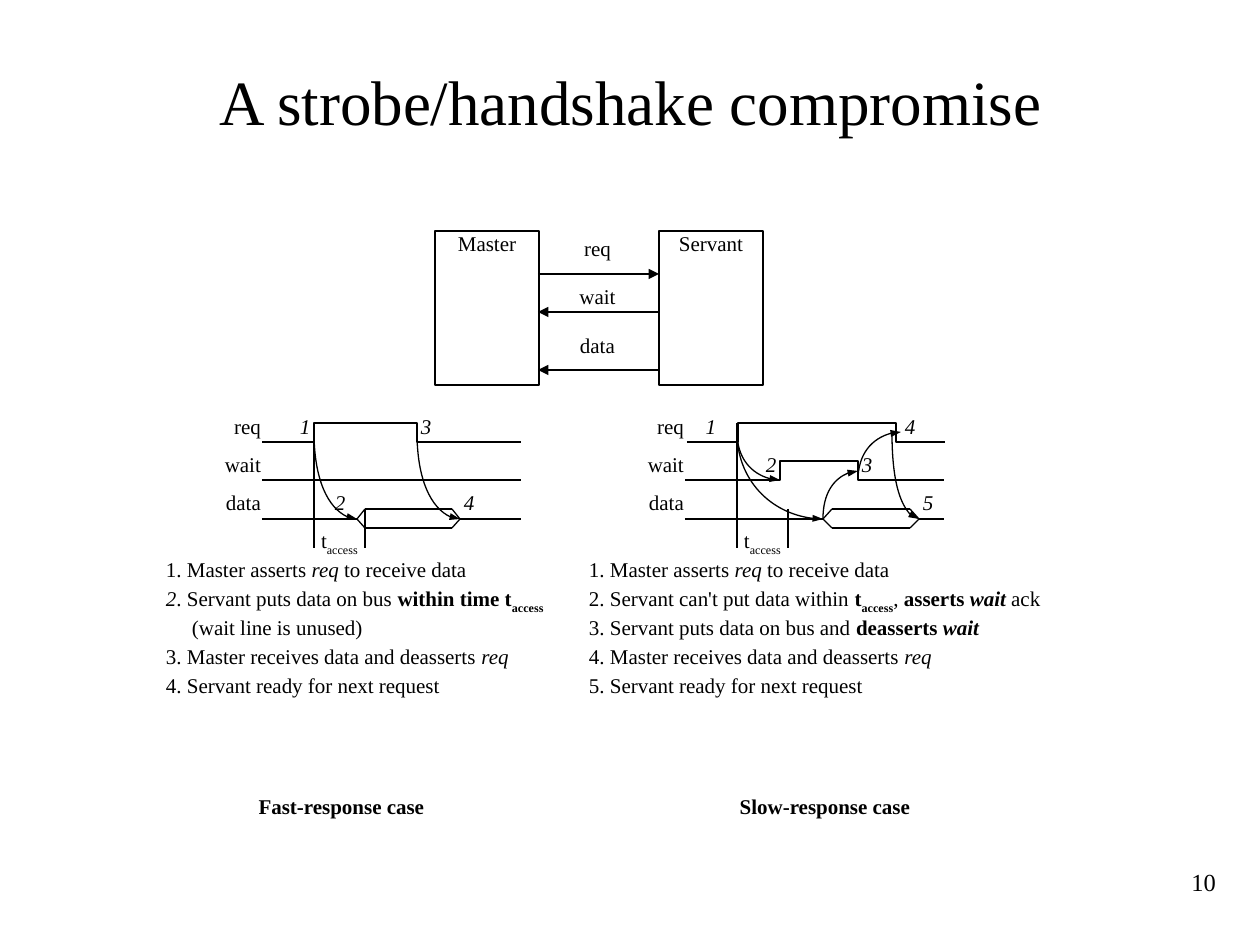
from lxml.etree import SubElement as Sub
from pptx import Presentation as Deck
from pptx.dml.color import RGBColor as Rgb
from pptx.enum.shapes import MSO_CONNECTOR as Conn, MSO_SHAPE as Kind
from pptx.enum.text import MSO_ANCHOR as Anchor, MSO_AUTO_SIZE as Fit, PP_ALIGN as Align
from pptx.oxml.ns import qn
from pptx.util import Pt

PX = 914400 / 126
SIDES = ("left", "top", "right", "bottom")


def px(*nums):
    return [round(n * PX) for n in nums]


def color(code):
    return Rgb.from_string(code)


class Sketch:
    """Draws slide elements in one style, with lengths in px."""

    ink, paper, face, size = "000000", "FFFFFF", "Times New Roman", 12
    align = {"l": Align.LEFT, "c": Align.CENTER, "r": Align.RIGHT}

    def __init__(self, slide):
        self.slide, self.shapes = slide, slide.shapes

    def letter(self, shape, runs, align="l", size=None, inset=(0, 0, 0, 0), anchor=Anchor.TOP):
        frame = shape.text_frame
        form = dict(word_wrap=True, auto_size=Fit.NONE, vertical_anchor=anchor)
        form.update(zip([f"margin_{side}" for side in SIDES], px(*inset)))
        for name, value in form.items():
            setattr(frame, name, value)
        para = frame.paragraphs[0]
        para.alignment = self.align[align]
        for text, flags in [(runs, "")] if isinstance(runs, str) else runs:
            run = para.add_run()
            run.text = text
            look = dict(name=self.face, size=Pt(size or self.size), bold="b" in flags, italic="i" in flags)
            for name, value in look.items():
                setattr(run.font, name, value)
            run.font.color.rgb = color(self.ink)
            if "s" in flags:
                run.font._element.set("baseline", "-25000")

    def title(self, text, *box):
        shape = self.shapes.title
        for name, value in zip(("left", "top", "width", "height"), px(*box)):
            setattr(shape, name, value)
        self.letter(shape, text, "c", 36, (0, 6, 0, 6), Anchor.MIDDLE)

    def text(self, runs, *box, **form):
        self.letter(self.shapes.add_textbox(*px(*box)), runs, **form)

    def stroke(self, shape, width=0.75):
        shape.line.color.rgb = color(self.ink)
        shape.line.width = Pt(width)

    def tip(self, shape, end, wide="med"):
        Sub(shape.line._get_or_add_ln(), qn(f"a:{end}End"), type="triangle", w=wide, len="med")

    def block(self, text, *box):
        shape = self.shapes.add_shape(Kind.RECTANGLE, *px(*box))
        shape.shadow.inherit = False
        shape.fill.solid()
        shape.fill.fore_color.rgb = color(self.paper)
        self.stroke(shape)
        self.letter(shape, text, "c")

    def line(self, *ends, end=None, width=0.75):
        shape = self.shapes.add_connector(Conn.STRAIGHT, *px(*ends))
        self.stroke(shape, width)
        if end:
            self.tip(shape, end)
        Sub(shape._element.spPr, qn("a:effectLst"))

    def wave(self, *points):
        pen = self.shapes.build_freeform(*points[0], scale=PX)
        pen.add_line_segments(points[1:], close=False)
        shape = pen.convert_to_shape()
        shape.shadow.inherit = False
        shape.fill.background()
        self.stroke(shape)
        return shape

    def curve(self, x, y, far, end):
        bend = (round(x + 0.55 * (far - x)), y), (far, round(end + 0.55 * (y - end)))
        shape = self.wave((x, y), *bend, (far, end))
        lines = list(shape._element.iter(qn("a:lnTo")))
        cubic = Sub(lines[0].getparent(), qn("a:cubicBezTo"))
        for part in lines:
            cubic.append(part[0])
            part.getparent().remove(part)
        self.tip(shape, "head", "sm")

    def pulse(self, start, rise, fall, stop, low):
        top = low - 19
        self.wave((start, low), (rise, low), (rise, top), (fall, top), (fall, low), (stop, low))

    def bus(self, start, west, left, right, east, stop):
        mid = 519
        self.line(start, mid, west, mid)
        self.line(east, mid, stop, mid)
        for y in (509, 528):
            self.line(left, y, right, y)
            self.line(west, mid, left, y)
            self.line(right, y, east, mid)

    def case(self, left, name, box, marks, steps):
        for word, y in (("req", 414), ("wait", 452), ("data", 490)):
            self.text(word, left + 43, y, 52, 39, align="r")
        for mark, x, y in marks:
            self.text([(mark, "i")], x, y, 18, 29, align="c")
        self.line(left + 148, 423, left + 148, 548)
        self.line(left + 199, 509, left + 199, 548)
        self.text([("t", ""), ("access", "s")], left + 130, 528, 87, 39, align="c")
        for row, (wide, dent, runs) in enumerate(steps):
            self.text(runs, left, 557 + 29 * row, wide, 39, inset=(dent, 0, 0, 0))
        self.text([(name, "b")], *box, align="c")


def main():
    deck = Deck()
    deck.slide_width, deck.slide_height = px(1260, 945)
    art = Sketch(deck.slides.add_slide(deck.slide_layouts[5]))
    art.title("A strobe/handshake compromise", 53, 21, 1155, 158)
    art.text("10", 1103, 861, 126, 63, align="r", size=14, inset=(13, 6, 13, 6))

    for name, x in (("Master", 435), ("Servant", 659)):
        art.block(name, x, 231, 104, 154)
    links = ("req", 236, 274, "tail", 0.75), ("wait", 284, 312, "head", 0.75), ("data", 333, 370, "head", 1)
    for name, top, y, end, width in links:
        art.text(name, 554, top, 87, 39, align="c")
        art.line(538, y, 659, y, end=end, width=width)

    ask = [("1. Master asserts ", ""), ("req", "i"), (" to receive data", "")]
    got = ". Master receives data and deasserts "
    ready = ". Servant ready for next request"
    fast = [
        (354, 0, ask),
        (423, 0, [("2", "i"), (". Servant puts data on bus ", ""), ("within time t", "b"), ("access", "bs")]),
        (397, 26, "(wait line is unused)"),
        (397, 0, [("3" + got, ""), ("req", "i")]),
        (397, 0, "4" + ready),
    ]
    slow = [
        (354, 0, ask),
        (457, 0, [("2. Servant can't put data within ", ""), ("t", "b"), ("access", "bs"), (", ", ""),
                  ("asserts ", "b"), ("wait", "bi"), (" ack", "")]),
        (441, 0, [("3. Servant puts data on bus and ", ""), ("deasserts ", "b"), ("wait", "bi")]),
        (397, 0, [("4" + got, ""), ("req", "i")]),
        (397, 0, "5" + ready),
    ]
    art.case(166, "Fast-response case", (198, 794, 287, 29),
             [("1", 296, 414), ("3", 417, 414), ("2", 331, 490), ("4", 460, 490)], fast)
    art.case(589, "Slow-response case", (638, 794, 374, 29),
             [("1", 702, 414), ("4", 901, 414), ("2", 762, 452), ("3", 858, 452), ("5", 919, 490)], slow)

    art.line(262, 480, 521, 480)
    for pulse in ((262, 314, 417, 521, 442), (687, 738, 896, 945, 442), (685, 780, 858, 944, 480)):
        art.pulse(*pulse)
    for bus in ((262, 357, 365, 452, 460, 521), (685, 823, 832, 910, 919, 944)):
        art.bus(*bus)
    curves = [(357, 519, 314, 432), (460, 519, 417, 432), (780, 480, 737, 432), (823, 519, 737, 432),
              (919, 519, 892, 432), (901, 432, 858, 480), (858, 471, 823, 519)]
    for curve in curves:
        art.curve(*curve)
    deck.save("out.pptx")


if __name__ == "__main__":
    main()
